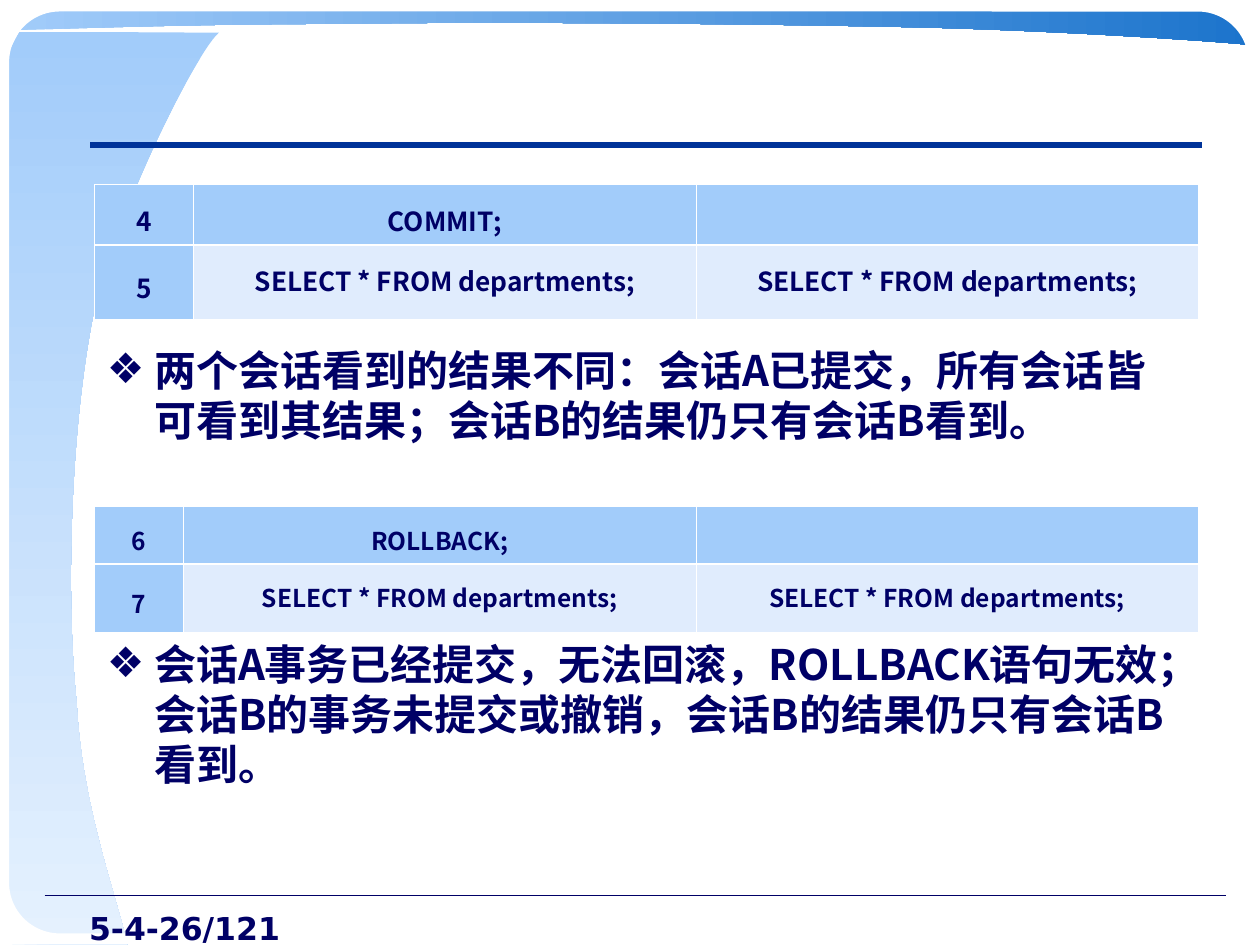
from lxml.etree import SubElement
from pptx import Presentation
from pptx.dml.color import RGBColor
from pptx.enum.shapes import MSO_CONNECTOR as Connector, MSO_SHAPE as Shape
from pptx.enum.text import MSO_ANCHOR as Anchor, PP_ALIGN as Align
from pptx.oxml.ns import qn
from pptx.util import Pt

FONT = "Noto Sans CJK SC"
NAVY, BLUE, SKY, PALE, WHITE = "000066", "003399", "A2CCFA", "E0ECFD", "FFFFFF"
QUERY = "SELECT * FROM departments;"

SIDE_BAND = [(72.7, 540), (68.4, 517, 46.8, 462, 43.9, 402),
             (37.4, 341, 40.3, 243, 54, 177),
             (68.4, 114.5, 115.2, 25.2, 125.3, 18.7), (0.7, 18), (0, 540)]
TOP_BAND = [(5, 17.3), (36.7, 16.6, 107.3, 13.7, 195.1, 13.7),
            (277.9, 12.2, 440.6, 13.7, 529.9, 15.8),
            (614.9, 18, 707, 24.5, 715.7, 25.9), (716.4, 5), (5, 5)]
CORNERS = [
    [(34.6, 539.3), (13.7, 529.2), (3.6, 518.4), (0, 502.6), (0, 540)],
    [(0, 39.6), (2.9, 35.3, 9.4, 18.7, 15.1, 12.2),
     (20.2, 5.8, 36, 2.9, 34.6, 0), (0, 0.7)],
    [(719.3, 504), (710.6, 522), (699.1, 533.5), (688.3, 540), (720, 539.3)],
    [(684.7, 0.7), (688.3, 2.2, 699.8, 1.4, 709.9, 12.2),
     (719.3, 23, 717.8, 43.2, 719.3, 41), (719.3, 0.7)],
]
NOTES = [
    "两个会话看到的结果不同：会话A已提交，所有会话皆可看到其结果；会话B的结果仍只有会话B看到。",
    "会话A事务已经提交，无法回滚，ROLLBACK语句无效；会话B的事务未提交或撤销，会话B的结果仍只有会话B看到。",
]


def color(value):
    """Return the colour for a hex string."""
    return RGBColor.from_string(value)


def apply(target, values):
    """Set every attribute named in the dict."""
    for name, value in values.items():
        setattr(target, name, value)


def write(paragraph, text, size, name=FONT):
    """Add bold navy text in the given size and typeface."""
    run = paragraph.add_run()
    run.text = text
    apply(run.font, {"size": Pt(size), "name": name, "bold": True})
    run.font.color.rgb = color(NAVY)
    SubElement(run.font._element, qn("a:ea"), typeface=name)


def bend(shape, segments):
    """Turn each run of three control points into one cubic curve."""
    lines = iter(list(shape._element.iter(qn("a:lnTo"))))
    for segment in segments:
        first = next(lines)
        if len(segment) == 6:
            first.tag_name = None
            curve = first.makeelement(qn("a:cubicBezTo"))
            first.addprevious(curve)
            for line in (first, next(lines), next(lines)):
                curve.append(line[0])
                line.getparent().remove(line)


def add_outline(slide, path, colors, angle=0):
    """Draw an outline of lines and curves with a solid or two-colour fill."""
    points = [(Pt(segment[i]), Pt(segment[i + 1]))
              for segment in path for i in range(0, len(segment), 2)]
    builder = slide.shapes.build_freeform(*points[0])
    builder.add_line_segments(points[1:], close=False)
    shape = builder.convert_to_shape()
    bend(shape, path[1:])
    shape.shadow.inherit = False
    shape.line.fill.background()
    if len(colors) == 1:
        shape.fill.solid()
        shape.fill.fore_color.rgb = color(colors[0])
        return
    shape.fill.gradient()
    shape.fill.gradient_angle = angle
    for stop, value in zip(shape.fill.gradient_stops, colors):
        stop.color.rgb = color(value)


def add_rule(slide, left, right, top, value, width):
    """Draw a horizontal line."""
    rule = slide.shapes.add_connector(Connector.STRAIGHT, Pt(left), Pt(top), Pt(right), Pt(top))
    rule.line.color.rgb = color(value)
    rule.line.width = Pt(width)
    SubElement(rule._element.spPr, qn("a:effectLst"))


def add_frame(slide):
    """Draw the white rounded frame around the slide."""
    frame = slide.shapes.add_shape(Shape.ROUNDED_RECTANGLE, Pt(2.2), Pt(3.6), Pt(714.2), Pt(532.8))
    frame.adjustments[0] = 0.06
    frame.shadow.inherit = False
    frame.fill.background()
    frame.line.color.rgb = color(WHITE)
    frame.line.width = Pt(6)


def add_page_number(slide, text):
    """Write the page number at the lower left."""
    box = slide.shapes.add_textbox(Pt(0), Pt(515.8), Pt(167.2), Pt(24.5))
    box.text_frame.word_wrap = True
    paragraph = box.text_frame.paragraphs[0]
    paragraph.alignment = Align.RIGHT
    write(paragraph, text, 18, "DejaVu Sans")


def fill_body(slide, body, notes):
    """Place the body over the background and write its bulleted notes."""
    slide.shapes._spTree.append(body._element)
    apply(body, {"left": Pt(53.8), "top": Pt(88.6), "width": Pt(630.7), "height": Pt(419.8)})
    frame = body.text_frame
    frame.margin_top = Pt(108.3)
    for index, note in enumerate(notes):
        paragraph = frame.add_paragraph() if index else frame.paragraphs[0]
        properties = paragraph._p.get_or_add_pPr()
        apply(paragraph, {"line_spacing": Pt(28.6), "space_before": Pt(110.8 * index),
                          "alignment": Align.LEFT})
        properties.set("marL", str(Pt(27)))
        properties.set("indent", str(-Pt(27)))
        bullet_color = SubElement(properties, qn("a:buClr"))
        SubElement(bullet_color, qn("a:srgbClr"), val=NAVY)
        SubElement(properties, qn("a:buChar"), char="❖")
        write(paragraph, note, 24)


def add_border(cell, side, width):
    """Give one side of a cell a white border."""
    border = SubElement(cell._tc.get_or_add_tcPr(), qn(f"a:ln{side}"), w=str(Pt(width)))
    fill = SubElement(border, qn("a:solidFill"))
    SubElement(fill, qn("a:srgbClr"), val=WHITE)


def add_steps(slide, top, widths, heights, size, rows):
    """Add a table of numbered session steps."""
    table = slide.shapes.add_table(len(rows), len(widths), Pt(54), Pt(top),
                                   Pt(sum(widths)), Pt(sum(heights))).table
    apply(table, {"first_row": False, "horz_banding": False})
    for column, width in zip(table.columns, widths):
        column.width = Pt(width)
    for r, (row, height) in enumerate(zip(rows, heights)):
        table.rows[r].height = Pt(height)
        for c, text in enumerate(row):
            cell = table.cell(r, c)
            for side, width in zip("LRTB", (0.45, 0.45, 1.47 if r else 0.45, 0.45 if r else 1.47)):
                add_border(cell, side, width)
            cell.fill.solid()
            cell.fill.fore_color.rgb = color(PALE if r and c else SKY)
            apply(cell, {"margin_left": Pt(5.76), "margin_right": Pt(5.76),
                         "vertical_anchor": Anchor.TOP if c else Anchor.MIDDLE})
            if text:
                paragraph = cell.text_frame.paragraphs[0]
                apply(paragraph, {"alignment": Align.CENTER, "line_spacing": 1.25})
                write(paragraph, text, size)


def main():
    """Build the slide and save it."""
    presentation = Presentation()
    apply(presentation, {"slide_width": Pt(720), "slide_height": Pt(540)})
    slide = presentation.slides.add_slide(presentation.slide_layouts[1])
    title = slide.shapes.title._element
    title.getparent().remove(title)
    add_outline(slide, SIDE_BAND, [SKY, "E5F1FE"], 270)
    add_outline(slide, TOP_BAND, [SKY, "1C74CC"])
    add_rule(slide, 25.5, 700.4, 511.8, NAVY, 0.75)
    add_frame(slide)
    for corner in CORNERS:
        add_outline(slide, corner, [WHITE])
    add_rule(slide, 51.6, 686.7, 82.8, BLUE, 3)
    add_page_number(slide, "5-4-26/121")
    fill_body(slide, slide.placeholders[1], NOTES)
    add_steps(slide, 105.6, (56.5, 287.5, 286.7), (25.2, 42.6), 15,
              [("4", "COMMIT;", ""), ("5", QUERY, QUERY)])
    add_steps(slide, 289.4, (50.7, 293.3, 286.7), (20.9, 39), 14,
              [("6", "ROLLBACK;", ""), ("7", QUERY, QUERY)])
    presentation.save("out.pptx")


if __name__ == "__main__":
    main()
